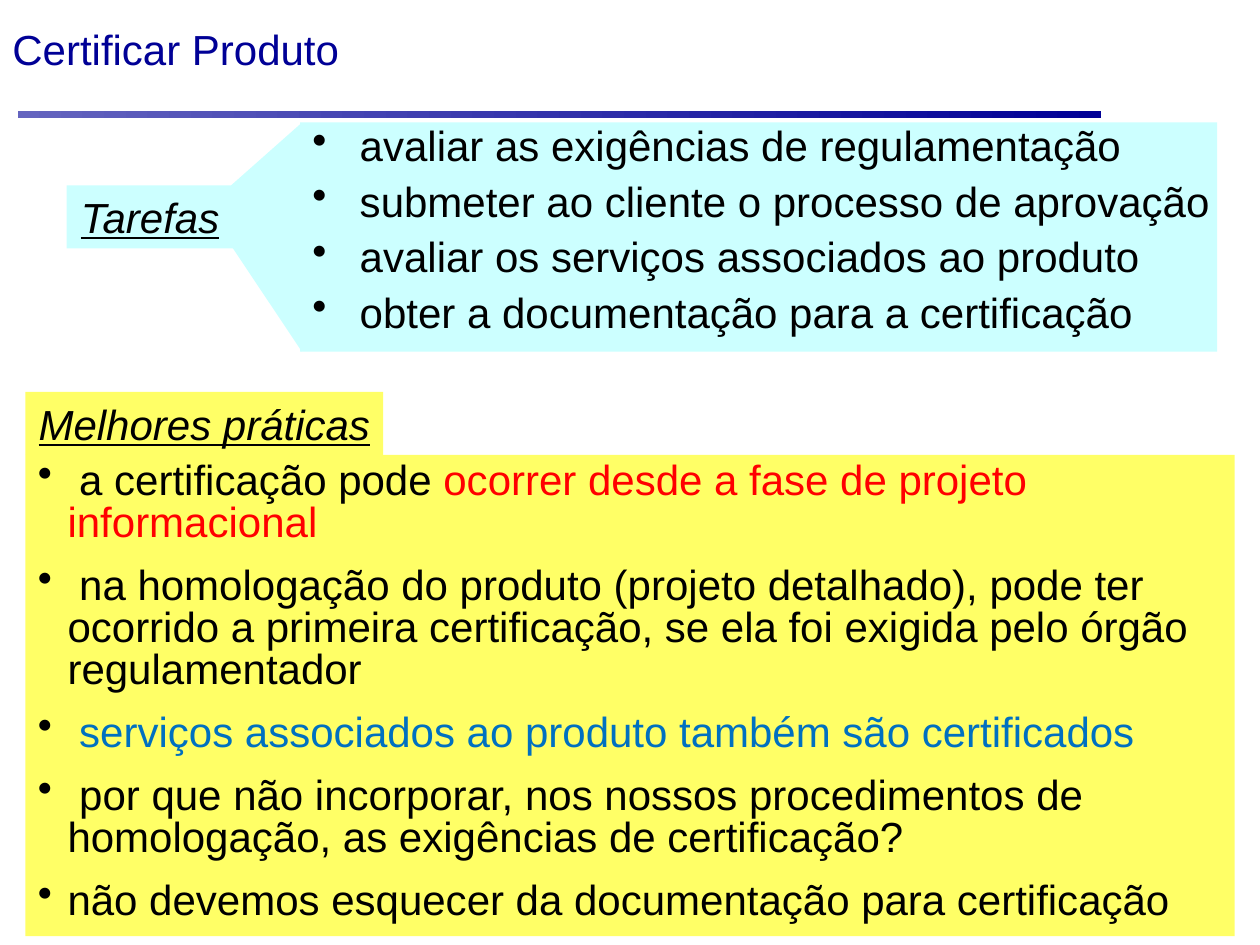
import pptx
import pptx.util
import pptx.dml.color
import pptx.enum.shapes
import pptx.enum.text
import pptx.oxml.ns
from lxml import etree

Pt = pptx.util.Pt
RGBColor = pptx.dml.color.RGBColor
RECTANGLE = pptx.enum.shapes.MSO_SHAPE.RECTANGLE
ANCHOR = pptx.enum.text.MSO_ANCHOR
ALIGN = pptx.enum.text.PP_ALIGN

NAVY = RGBColor(0x00, 0x00, 0x96)
PERIWINKLE = RGBColor(0x64, 0x64, 0xBF)
CYAN = RGBColor(0xCC, 0xFF, 0xFF)
YELLOW = RGBColor(0xFF, 0xFF, 0x66)
BLACK = RGBColor(0x00, 0x00, 0x00)
RED = RGBColor(0xFF, 0x00, 0x00)
BLUE = RGBColor(0x00, 0x70, 0xC0)

TASKS = [
    [("avaliar as exigências de regulamentação", BLACK)],
    [("submeter ao cliente o processo de aprovação", BLACK)],
    [("avaliar os serviços associados ao produto", BLACK)],
    [("obter a documentação para a certificação", BLACK)],
]
PRACTICES = [
    [(" a certificação pode ", BLACK),
     ("ocorrer desde a fase de projeto informacional", RED)],
    [(" na homologação do produto (projeto detalhado), pode ter ocorrido a "
      "primeira certificação, se ela foi exigida pelo órgão regulamentador", BLACK)],
    [(" ", BLACK),
     ("serviços associados ao produto também são certificados", BLUE)],
    [(" por que não incorporar, nos nossos procedimentos de homologação, "
      "as exigências de certificação?", BLACK)],
    [("não devemos esquecer da documentação para certificação", BLACK)],
]


def style_panel(panel, color):
    panel.shadow.inherit = False
    panel.line.fill.background()
    panel.fill.solid()
    panel.fill.fore_color.rgb = color


def add_panel(slide, left, top, width, height, color):
    panel = slide.shapes.add_shape(RECTANGLE, Pt(left), Pt(top), Pt(width), Pt(height))
    style_panel(panel, color)
    return panel


def add_text_box(slide, left, top, width, height):
    box = slide.shapes.add_textbox(Pt(left), Pt(top), Pt(width), Pt(height))
    box.text_frame.word_wrap = True
    return box


def add_run(paragraph, text, color):
    run = paragraph.add_run()
    run.text = text
    run.font.name = "Arial"
    run.font.size = Pt(24)
    run.font.color.rgb = color
    return run


def add_bullets(frame, items, indent, line_spacing, gap):
    frame.vertical_anchor = ANCHOR.TOP
    for index, runs in enumerate(items):
        paragraph = frame.add_paragraph() if index else frame.paragraphs[0]
        properties = paragraph._p.get_or_add_pPr()
        properties.set("marL", str(Pt(indent)))
        properties.set("indent", str(-Pt(indent)))
        bullet = etree.SubElement(properties, pptx.oxml.ns.qn("a:buChar"))
        bullet.set("char", "•")
        paragraph.alignment = ALIGN.LEFT
        paragraph.line_spacing = line_spacing
        paragraph.space_before = Pt(gap if index else 0)
        for text, color in runs:
            add_run(paragraph, text, color)


def add_label(slide, text, left, top, width, height, color):
    label = add_panel(slide, left, top, width, height, color)
    frame = label.text_frame
    frame.word_wrap = False
    frame.vertical_anchor = ANCHOR.TOP
    paragraph = frame.paragraphs[0]
    paragraph.alignment = ALIGN.CENTER
    run = add_run(paragraph, text, BLACK)
    run.font.italic = True
    run.font.underline = True


def add_header(slide, left, top, width, height):
    rule = add_panel(slide, left + 10, top + 63.5, 619, 4, NAVY)
    rule.fill.gradient()
    rule.fill.gradient_angle = 0
    for stop, color in zip(rule.fill.gradient_stops, (PERIWINKLE, NAVY)):
        stop.color.rgb = color
    title = add_text_box(slide, left, top, width, height)
    title.text_frame.vertical_anchor = ANCHOR.MIDDLE
    add_run(title.text_frame.paragraphs[0], "Certificar Produto", NAVY)


def add_tasks(slide, left, top, width, height):
    list_left = left + 133.5
    list_width = width - 133.5
    builder = slide.shapes.build_freeform(Pt(left + 94), Pt(top + 36))
    builder.add_line_segments([
        (Pt(list_left), Pt(top + 1)),
        (Pt(list_left + 1), Pt(top + height)),
        (Pt(left + 94.5), Pt(top + 71)),
    ], close=True)
    style_panel(builder.convert_to_shape(), CYAN)
    add_panel(slide, list_left, top, list_width, height, CYAN)
    box = add_text_box(slide, list_left, top - 2, list_width + 11, height + 14)
    add_bullets(box.text_frame, TASKS, 27, 0.9, 5.8)
    add_label(slide, "Tarefas", left, top + 36, 95.5, 36, CYAN)


def add_practices(slide, left, top, width, height):
    label_height = 36
    panel = add_panel(slide, left, top + label_height, width, height - label_height, YELLOW)
    panel.text_frame.word_wrap = True
    add_bullets(panel.text_frame, PRACTICES, 17, 0.84, 11.7)
    add_label(slide, "Melhores práticas", left, top, 204.5, label_height, YELLOW)


def main():
    presentation = pptx.Presentation()
    presentation.slide_width = Pt(720)
    presentation.slide_height = Pt(540)
    slide = presentation.slides.add_slide(presentation.slide_layouts[6])
    add_header(slide, 0, 0, 582, 55.5)
    add_tasks(slide, 38, 70, 657.5, 131)
    add_practices(slide, 14.5, 224, 691, 311)
    presentation.save("out.pptx")


if __name__ == "__main__":
    main()
